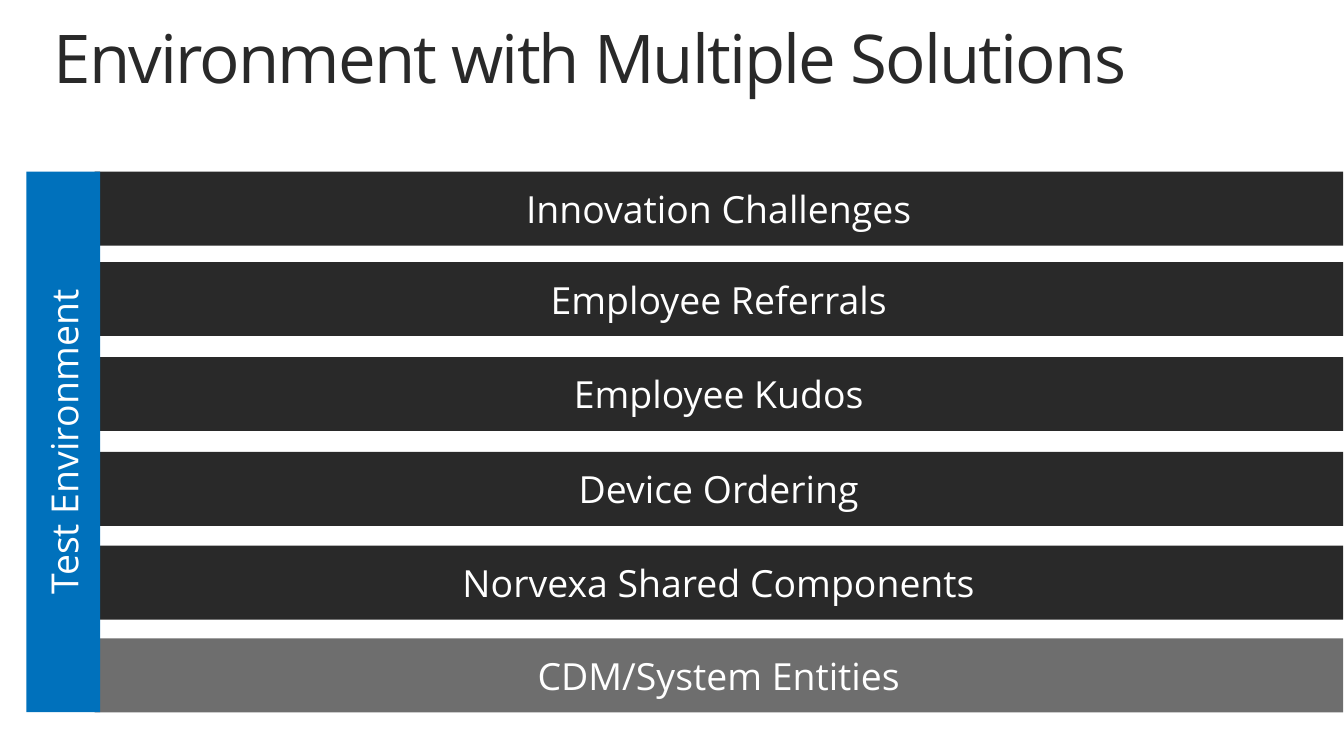
from pptx import Presentation
from pptx.dml.color import RGBColor
from pptx.enum.shapes import MSO_SHAPE
from pptx.enum.text import MSO_ANCHOR, MSO_AUTO_SIZE, PP_ALIGN
from pptx.util import Pt

RECTANGLE = MSO_SHAPE.RECTANGLE
MIDDLE, TOP = MSO_ANCHOR.MIDDLE, MSO_ANCHOR.TOP
CENTER, LEFT = PP_ALIGN.CENTER, PP_ALIGN.LEFT
GROW = MSO_AUTO_SIZE.SHAPE_TO_FIT_TEXT

WHITE = RGBColor(0xFF, 0xFF, 0xFF)
CHARCOAL = RGBColor(0x29, 0x29, 0x29)
GRAY = RGBColor(0x6E, 0x6E, 0x6E)
BLUE = RGBColor(0x00, 0x71, 0xBC)

FONT = "Open Sans"
BAR = 52.8  # thickness of every bar

# Name, offset from the top of the stack, fill
SOLUTIONS = [
    ("Innovation Challenges", 0, CHARCOAL),
    ("Employee Referrals", 64.6, CHARCOAL),
    ("Employee Kudos", 132.4, CHARCOAL),
    ("Device Ordering", 200.2, CHARCOAL),
    ("Norvexa Shared Components", 267.2, CHARCOAL),
    ("CDM/System Entities", 333.4, GRAY),
]


def set_font(para, size, color):
    """Give a paragraph its font, size and colour."""
    para.font.name = FONT
    para.font.size = Pt(size)
    para.font.color.rgb = color


def add_title(page, text, box):
    """Place the title placeholder in the box and format it."""
    title = page.shapes.title
    title.left, title.top, title.width, title.height = map(Pt, box)
    frame = title.text_frame
    frame.margin_left = frame.margin_right = 0
    frame.margin_top = frame.margin_bottom = 0
    frame.word_wrap = True
    frame.vertical_anchor = TOP
    frame.auto_size = GROW
    frame.text = text
    para = frame.paragraphs[0]
    para.alignment = LEFT
    para.line_spacing = 0.9
    set_font(para, 48, CHARCOAL)
    para.runs[0]._r.get_or_add_rPr().set("spc", "-130")


def add_bar(page, text, box, fill):
    """Add a filled bar with a centred white label."""
    bar = page.shapes.add_shape(RECTANGLE, *map(Pt, box))
    bar.shadow.inherit = False
    bar.fill.solid()
    bar.fill.fore_color.rgb = fill
    bar.line.fill.background()
    frame = bar.text_frame
    frame.margin_left = frame.margin_right = Pt(9.4)
    frame.margin_top = frame.margin_bottom = Pt(5)
    frame.word_wrap = True
    frame.vertical_anchor = MIDDLE
    frame.text = text
    para = frame.paragraphs[0]
    para.alignment = CENTER
    set_font(para, 26.7, WHITE)
    return bar


def add_environment(page, name, solutions, box):
    """Stack the solution bars beside an upright environment bar."""
    left, top, width, height = box
    overlap = 4
    bar_left = left + BAR - overlap
    for text, offset, fill in solutions:
        bar_box = (bar_left, top + offset, left + width - bar_left, BAR)
        add_bar(page, text, bar_box, fill)
    # The upright bar is laid flat around its own centre, then turned.
    flat_box = (left + (BAR - height) / 2, top + (height - BAR) / 2, height, BAR)
    add_bar(page, name, flat_box, BLUE).rotation = 270


def main():
    """Build the slide and save it."""
    deck = Presentation()
    deck.slide_width, deck.slide_height = Pt(960), Pt(540)
    page = deck.slides.add_slide(deck.slide_layouts[5])
    page.background.fill.solid()
    page.background.fill.fore_color.rgb = WHITE
    add_title(page, "Environment with Multiple Solutions", (38.2, 18, 889, 52.6))
    add_environment(page, "Test Environment", SOLUTIONS, (18.8, 122.6, 940.6, 386))
    deck.save("out.pptx")


main()
